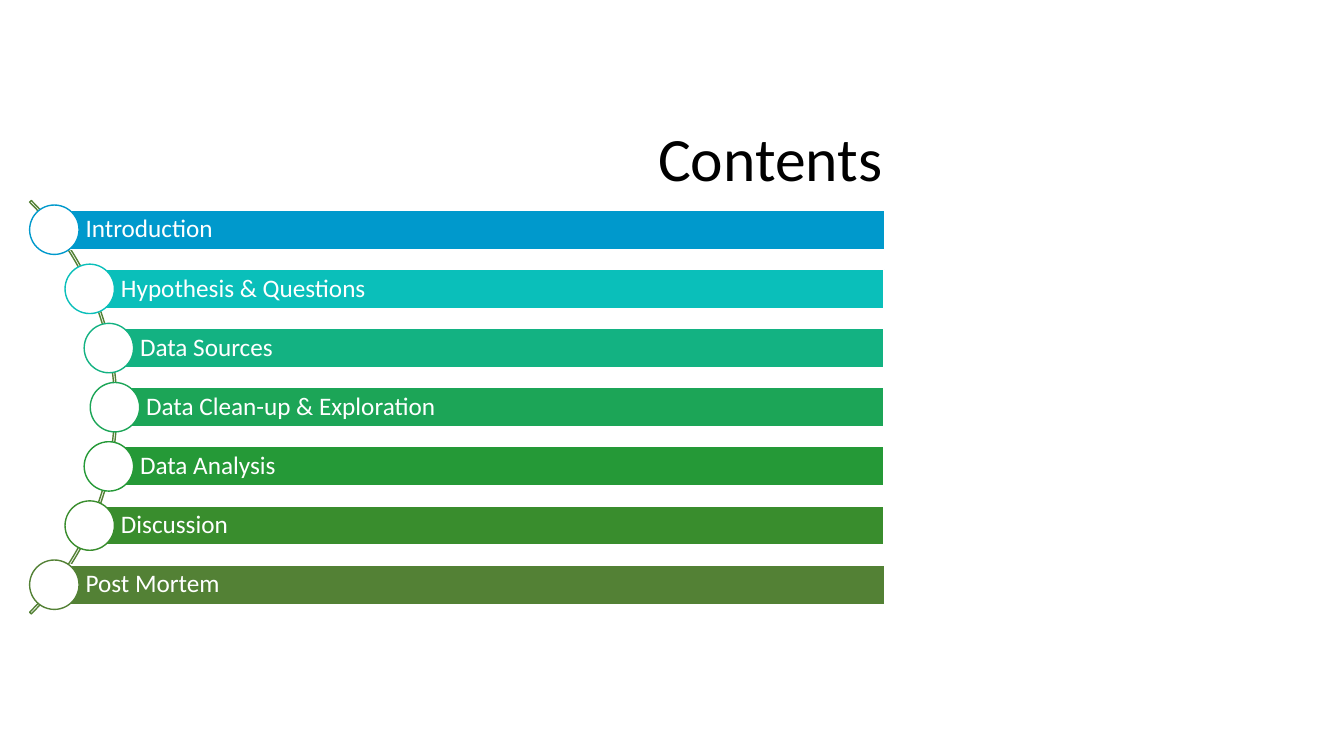
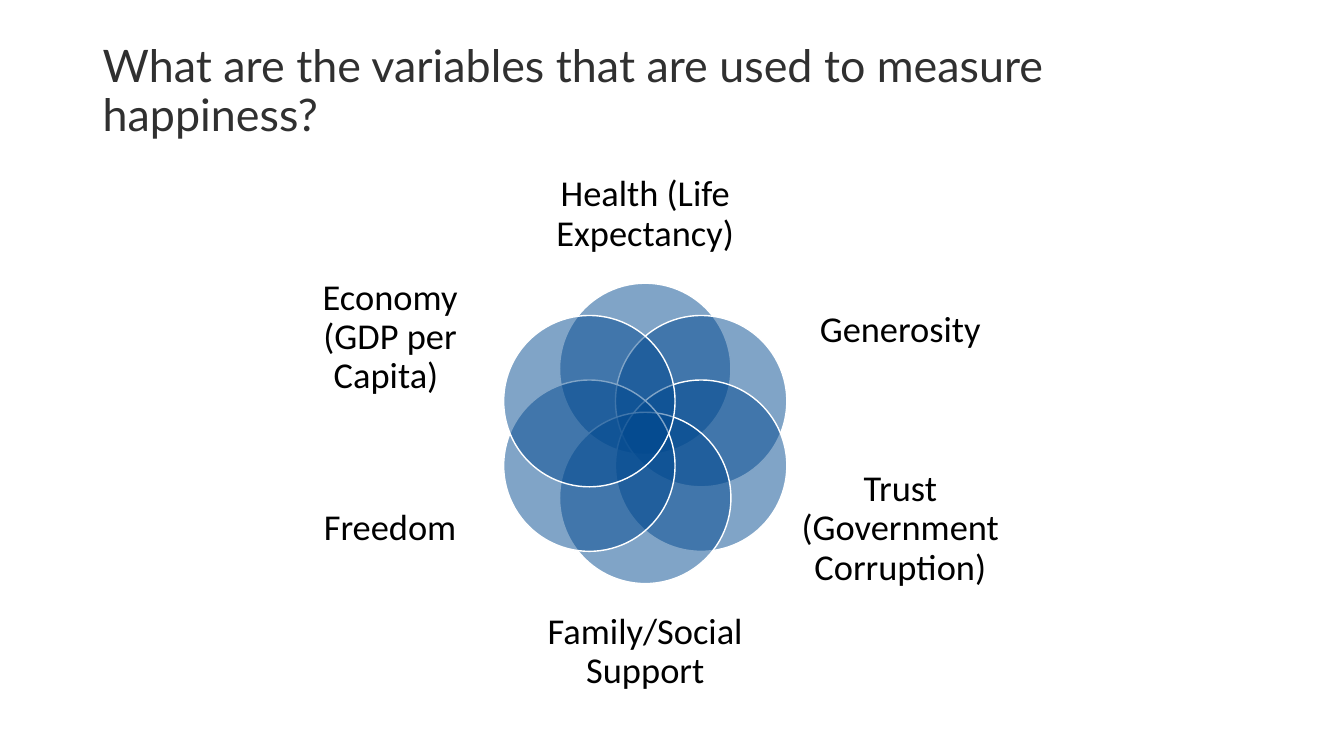
import math

import pptx
import pptx.dml.color
import pptx.enum.shapes
import pptx.enum.text
import pptx.util
from lxml import etree
from pptx.oxml.ns import qn

Inches = pptx.util.Inches
RGBColor = pptx.dml.color.RGBColor
SHAPES = pptx.enum.shapes.MSO_SHAPE
ALIGN = pptx.enum.text.PP_ALIGN

BLACK = RGBColor(0x00, 0x00, 0x00)
WHITE = RGBColor(0xFF, 0xFF, 0xFF)
CHARCOAL = RGBColor(0x30, 0x30, 0x30)
NAVY = RGBColor(0x03, 0x4A, 0x90)
OLIVE = RGBColor(0x53, 0x81, 0x35)

BODY_FONT = "Calibri"
TITLE_FONT = "Lato"
DEFAULT_INSETS = (0.1, 0.05, 0.1, 0.05)

CHAPTERS = [
    ("Introduction", RGBColor(0x00, 0x99, 0xCC)),
    ("Hypothesis & Questions", RGBColor(0x0A, 0xBF, 0xBA)),
    ("Data Sources", RGBColor(0x13, 0xB2, 0x82)),
    ("Data Clean-up & Exploration", RGBColor(0x1C, 0xA5, 0x57)),
    ("Data Analysis", RGBColor(0x25, 0x99, 0x37)),
    ("Discussion", RGBColor(0x39, 0x8D, 0x2D)),
    ("Post Mortem", OLIVE),
]

# Clockwise from the top: label, offset of its centre from the middle, size
VARIABLES = [
    ("Health (Life Expectancy)", (0, -2.17), (2.12, 1.16)),
    ("Generosity", (2.53, -1.02), (2.01, 1.27)),
    ("Trust (Government Corruption)", (2.53, 0.95), (2.01, 1.41)),
    ("Family/Social Support", (0, 2.17), (2.12, 1.16)),
    ("Freedom", (-2.53, 0.95), (2.01, 1.41)),
    ("Economy (GDP per Capita) ", (-2.53, -0.95), (2.01, 1.41)),
]


def write(box, text, size, color, font=BODY_FONT, align=ALIGN.LEFT, insets=DEFAULT_INSETS):
    frame = box.text_frame
    frame.word_wrap = True
    frame.vertical_anchor = pptx.enum.text.MSO_ANCHOR.MIDDLE
    (frame.margin_left, frame.margin_top,
     frame.margin_right, frame.margin_bottom) = map(Inches, insets)
    frame.text = text
    paragraph = frame.paragraphs[0]
    paragraph.alignment = align
    paragraph.line_spacing = 0.9
    run_font = paragraph.runs[0].font
    run_font.name = font
    run_font.size = pptx.util.Pt(size)
    run_font.color.rgb = color


def add_text(slide, area, text, size, color, **style):
    box = slide.shapes.add_textbox(*map(Inches, area))
    write(box, text, size, color, **style)


def add_shape(slide, kind, area, line, fill=None):
    shape = slide.shapes.add_shape(kind, *map(Inches, area))
    shape.shadow.inherit = False
    if fill is None:
        shape.fill.background()
    else:
        shape.fill.solid()
        shape.fill.fore_color.rgb = fill
    shape.line.color.rgb = line
    shape.line.width = pptx.util.Pt(1)
    return shape


def around(x, y, width, height):
    """Area of the given size centred on x, y."""
    return x - width / 2, y - height / 2, width, height


def set_opacity(shape, percent):
    color = shape.fill._xPr.find(qn("a:solidFill")).find(qn("a:srgbClr"))
    etree.SubElement(color, qn("a:alpha")).set("val", str(percent * 1000))


def build_contents(slide):
    arc_x, arc_y, arc_size, radius = -1.74, 4.04, 5.8, 2.88
    row_step, bar_height, bar_right, dot = 0.587, 0.39, 8.77, 0.49

    add_text(slide, (5.44, 0.88, 4.4, 1.45), "Contents", 44, BLACK, align=ALIGN.CENTER)
    arc = add_shape(slide, SHAPES.BLOCK_ARC, around(arc_x, arc_y, arc_size, arc_size), OLIVE)
    for index, value in enumerate((189, 27, 0.004)):
        arc.adjustments[index] = value

    for row, (chapter, color) in enumerate(CHAPTERS):
        offset = (row - (len(CHAPTERS) - 1) / 2) * row_step
        x, y = arc_x + math.sqrt(radius ** 2 - offset ** 2), arc_y + offset
        bar = add_shape(slide, SHAPES.RECTANGLE,
                        (x, y - bar_height / 2, bar_right - x, bar_height), WHITE, color)
        write(bar, chapter, 18, WHITE, insets=(0.31, 0.05, 0.05, 0.05))
        add_shape(slide, SHAPES.OVAL, around(x, y, dot, dot), color, WHITE)


def build_variables(slide):
    middle_x, middle_y, ring, petal = 6.4, 4.3, 0.64, 1.7

    add_text(slide, (0.92, 0.19, 11.5, 1.45),
             "What are the variables that are used to measure happiness?",
             32, CHARCOAL, font=TITLE_FONT)
    for index, (label, (dx, dy), size) in enumerate(VARIABLES):
        angle = math.tau * index / len(VARIABLES)
        x, y = middle_x + ring * math.sin(angle), middle_y - ring * math.cos(angle)
        circle = add_shape(slide, SHAPES.OVAL, around(x, y, petal, petal), WHITE, NAVY)
        set_opacity(circle, 50)
        add_text(slide, around(middle_x + dx, middle_y + dy, *size), label, 26, BLACK,
                 align=ALIGN.CENTER, insets=(0, 0, 0, 0))


def main():
    deck = pptx.Presentation()
    deck.slide_width, deck.slide_height = Inches(13.33), Inches(7.5)
    for build in (build_contents, build_variables):
        build(deck.slides.add_slide(deck.slide_layouts[6]))
    deck.save("out.pptx")


if __name__ == "__main__":
    main()
